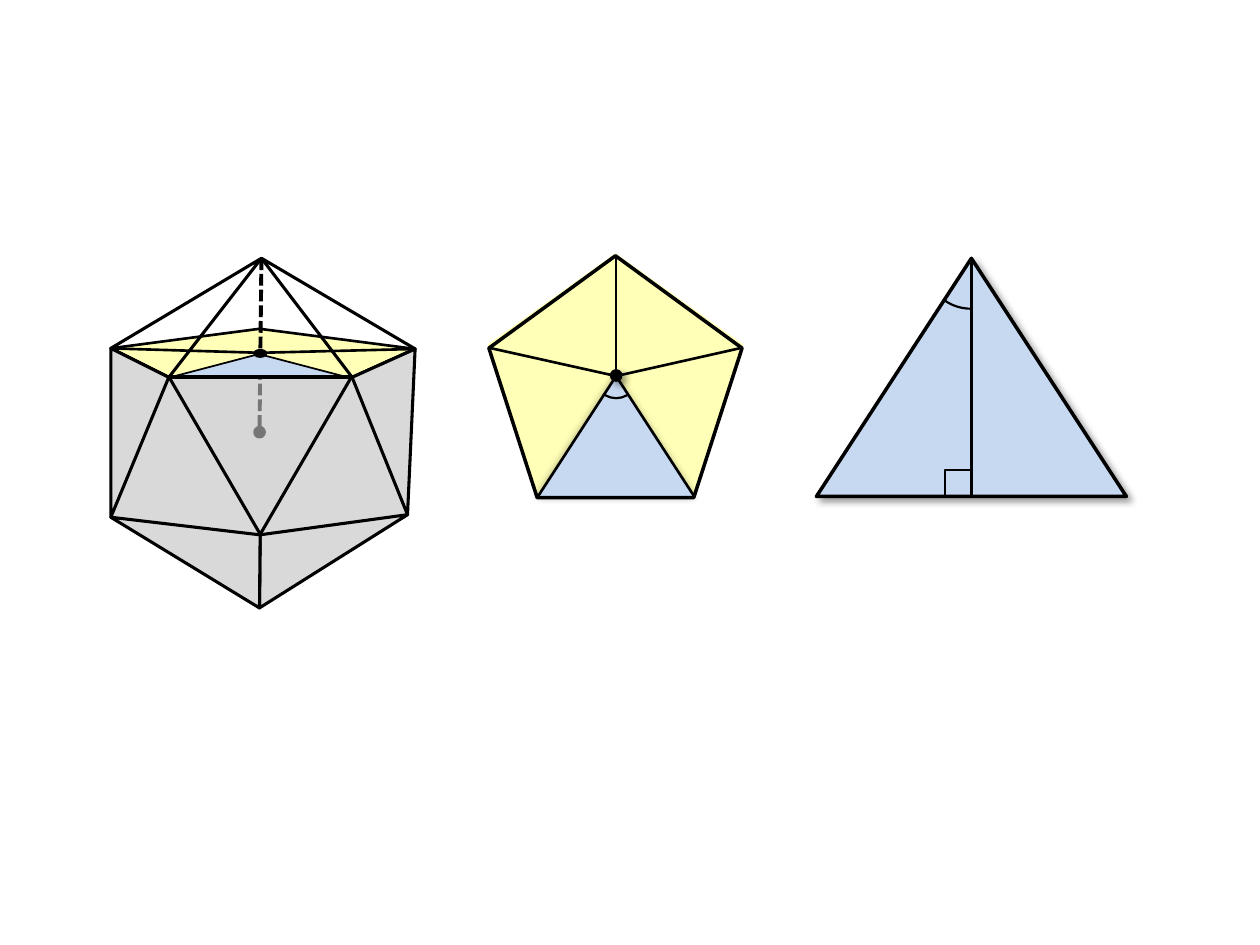
from dataclasses import dataclass

from lxml.etree import SubElement
from pptx import Presentation
from pptx.dml.color import RGBColor
from pptx.enum.dml import MSO_LINE
from pptx.enum.shapes import MSO_CONNECTOR, MSO_SHAPE
from pptx.oxml.ns import qn
from pptx.util import Inches, Pt


@dataclass(frozen=True)
class Theme:
    ink: str = "000000"
    yellow: str = "FFFFB7"
    blue: str = "C6D9F1"
    face: str = "D9D9D9"
    front: str = "BFBFBF"
    fine: float = 1
    arc: float = 1.25
    thin: float = 1.5
    edge: float = 1.75
    bold: float = 2
    dash: float = 2.25


class Diagram:
    """Draws geometric figures on a slide grid of 1000 columns by 750 rows."""

    def __init__(self, deck, theme):
        self.theme = theme
        self.page = deck.slides.add_slide(deck.slide_layouts[6])
        self.column = deck.slide_width / 1000
        self.row = deck.slide_height / 750
        self.shapes = self.page.shapes

    def figure(self):
        self.shapes = self.page.shapes.add_group_shape().shapes

    def place(self, x, y):
        return round(x * self.column), round(y * self.row)

    def outline(self, line, weight):
        if weight:
            line.color.rgb = RGBColor.from_string(self.theme.ink)
            line.width = Pt(weight)
        else:
            line.fill.background()

    def finish(self, shape, fill, weight, alpha=None):
        shape.shadow.inherit = False
        if fill:
            shape.fill.solid()
            shape.fill.fore_color.rgb = RGBColor.from_string(fill)
        else:
            shape.fill.background()
        if alpha:
            color = shape.fill._xPr.find(qn("a:solidFill"))[0]
            SubElement(color, qn("a:alpha"), val=str(alpha * 1000))
        self.outline(shape.line, weight)
        return shape

    def preset(self, kind, box, fill=None, weight=None, rotation=0):
        left, top, width, height = box
        shape = self.shapes.add_shape(kind, *self.place(left, top), *self.place(width, height))
        shape.rotation = rotation
        return self.finish(shape, fill, weight)

    def arc(self, box, start, end):
        shape = self.preset(MSO_SHAPE.ARC, box, weight=self.theme.arc, rotation=180)
        for index, degrees in enumerate((start, end)):
            shape.adjustments[index] = degrees * 0.6

    def shadow(self, shape, blur, distance):
        effects = shape._element.spPr.find(qn("a:effectLst"))
        outer = SubElement(effects, qn("a:outerShdw"), blurRad=str(Pt(blur)), dist=str(Pt(distance)),
                           dir=str(45 * 60000), algn="tl", rotWithShape="0")
        color = SubElement(outer, qn("a:srgbClr"), val=self.theme.ink)
        SubElement(color, qn("a:alpha"), val="40000")

    def polygon(self, points, fill=None, weight=None, alpha=None):
        first, *rest = [self.place(*point) for point in points]
        builder = self.shapes.build_freeform(*first)
        builder.add_line_segments(rest, close=True)
        self.finish(builder.convert_to_shape(), fill, weight, alpha)

    def segment(self, start, end, weight, dash=None):
        line = self.shapes.add_connector(MSO_CONNECTOR.STRAIGHT, *self.place(*start), *self.place(*end))
        self.outline(line.line, weight)
        if dash:
            line.line.dash_style = dash
        SubElement(line._element.spPr, qn("a:effectLst"))


def draw_half_angle(art):
    """Draw the isosceles triangle split by its height."""
    theme = art.theme
    triangle = art.preset(MSO_SHAPE.ISOSCELES_TRIANGLE, (648, 205, 246, 189), theme.blue, theme.bold)
    art.shadow(triangle, 4, 3)
    art.segment((771, 205), (771, 394), theme.bold)
    art.preset(MSO_SHAPE.RECTANGLE, (750, 373, 21, 21), weight=theme.thin)
    art.arc((734, 172, 73, 73), 270, 307.14)


def draw_pentagon(art):
    """Draw the pentagon divided into five triangles."""
    theme = art.theme
    center = (489, 298.5)
    corners = [(489, 203), (388, 276), (427, 394), (551, 394), (589, 276)]
    art.preset(MSO_SHAPE.REGULAR_PENTAGON, (387, 201, 203, 190), theme.yellow)
    sector = art.preset(MSO_SHAPE.ISOSCELES_TRIANGLE, (426, 299, 125, 95), theme.blue)
    art.shadow(sector, 5, 0)
    art.preset(MSO_SHAPE.REGULAR_PENTAGON, (388, 203, 201, 192), weight=theme.bold)
    for corner in corners:
        art.segment(center, corner, theme.thin)
    dot = art.preset(MSO_SHAPE.OVAL, (485, 294, 8, 8), theme.ink, theme.thin)
    art.shadow(dot, 4, 3)
    art.arc((472, 282, 34, 34), 234.38, 307.14)


def draw_icosahedron(art):
    """Draw the icosahedron with its open cap and inner axis."""
    theme = art.theme
    apex, back, hub = (207.5, 205), (206, 261), (206.5, 280)
    left, right = (88, 276.5), (329.5, 277)
    front_left, front_right = (134, 299.5), (279.5, 299.5)
    low_left, low_right = (88, 410.5), (323.5, 408.5)
    low_front, bottom = (206.5, 424.5), (206, 482.5)

    art.polygon([right, back, left, front_left, front_right], theme.yellow, theme.thin)
    art.segment(apex, (206, 339), theme.dash, MSO_LINE.SQUARE_DOT)
    art.preset(MSO_SHAPE.OVAL, (202, 339, 8, 8), theme.ink, theme.thin)
    art.polygon([front_right, low_front, front_left], theme.front, alpha=62)
    for low, upper in ((low_right, front_right), (low_left, front_left)):
        art.polygon([low, low_front, upper], theme.face)
    for upper, side in ((front_right, right), (front_left, left)):
        art.polygon([upper, apex, side], weight=theme.edge)
    for face in ((left, low_left, front_left), (front_right, right, low_right),
                 (low_front, low_right, bottom), (low_front, low_left, bottom)):
        art.polygon(face, theme.face, theme.edge)
    art.preset(MSO_SHAPE.ISOSCELES_TRIANGLE, (133, 281, 145, 19), theme.blue, theme.fine)
    art.preset(MSO_SHAPE.OVAL, (202, 278, 9, 5), theme.ink, theme.thin)
    for side in (right, left):
        art.segment(hub, side, theme.thin)
    art.preset(MSO_SHAPE.ISOSCELES_TRIANGLE, (134, 299, 145, 125), weight=theme.edge, rotation=180)


def main():
    deck = Presentation()
    deck.slide_width, deck.slide_height = Inches(10), Inches(7.5)
    art = Diagram(deck, Theme())
    for draw in (draw_half_angle, draw_pentagon, draw_icosahedron):
        art.figure()
        draw(art)
    deck.save("out.pptx")


if __name__ == "__main__":
    main()
